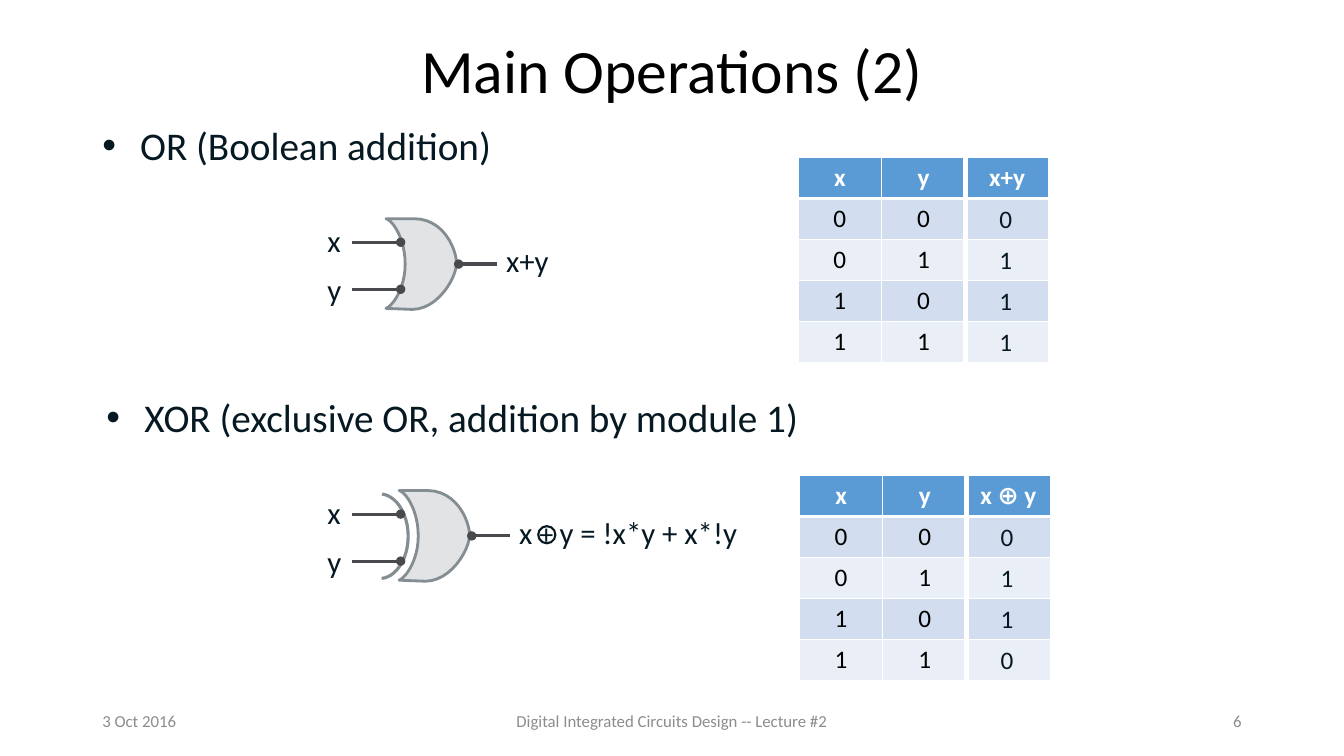
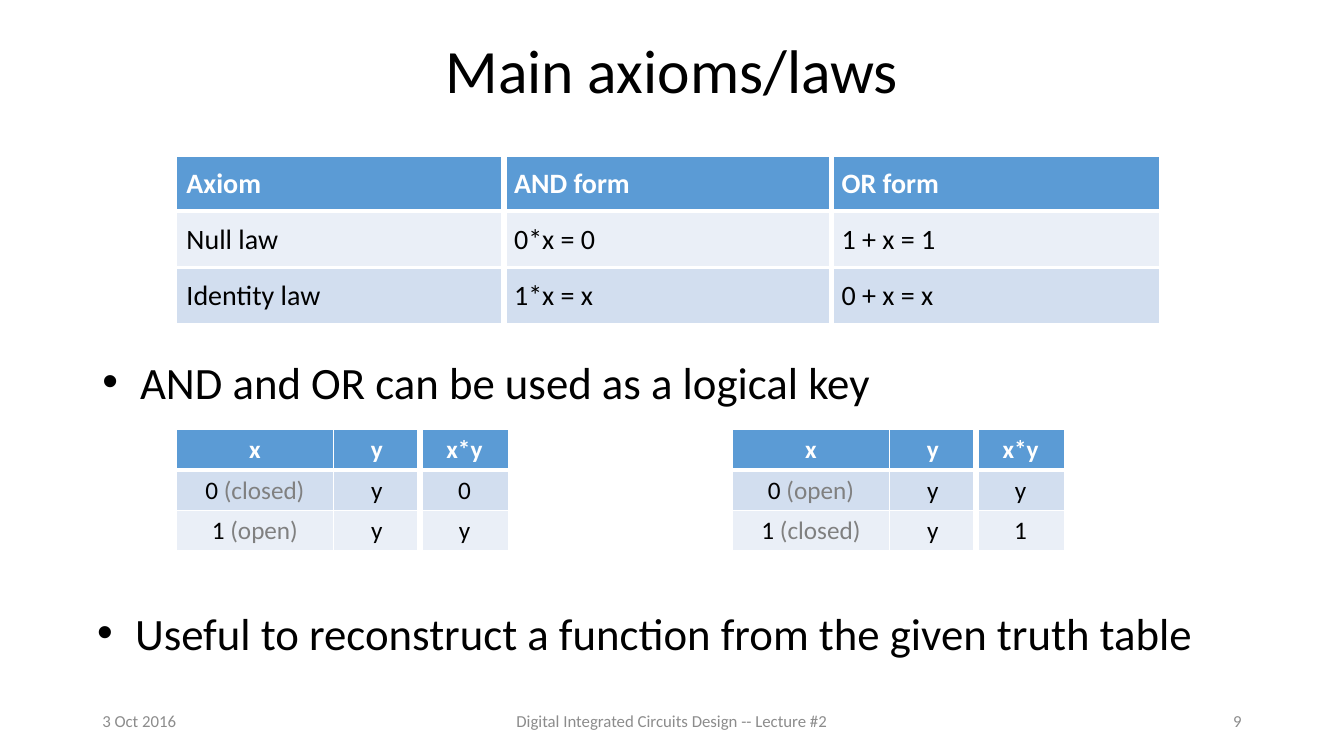
"""Build two slides on Boolean operations and axioms."""
from lxml.etree import SubElement as Sub
from pptx import Presentation
from pptx.dml.color import RGBColor
from pptx.enum.shapes import MSO_CONNECTOR as Link, MSO_SHAPE as Shape
from pptx.enum.text import MSO_ANCHOR as Anchor, PP_ALIGN as Align
from pptx.oxml.ns import qn
from pptx.util import Inches, Pt

FACE = "Calibri"
BLACK, WHITE, INK, GRAY, MUTE = "000000", "FFFFFF", "061922", "8C8C8C", "808080"
BLUE, DARK, PALE = "5B9BD5", "D2DEEF", "EAEFF7"
BODY, EDGE, WIRE = "E1E3E5", "838D92", "494A4D"
rgb = RGBColor.from_string

deck = Presentation()
deck.slide_width, deck.slide_height = Inches(40 / 3), Inches(7.5)
UNIT = deck.slide_width // 160


def text(slide, box, words, size, tint, align=Align.LEFT, anchor=Anchor.TOP, dot=False):
    """Add a text box, placed in grid units, and return its paragraph."""
    frame = slide.shapes.add_textbox(*[round(n * UNIT) for n in box]).text_frame
    frame.word_wrap, frame.vertical_anchor = True, anchor
    para = frame.paragraphs[0]
    para.text, para.alignment = words, align
    if dot:
        props = para._p.get_or_add_pPr()
        props.set("marL", "342900")
        props.set("indent", "-342900")
        Sub(props, qn("a:buFont"), typeface="Arial")
        Sub(props, qn("a:buChar"), char="•")
    font = para.font
    font.name, font.size, font.color.rgb = FACE, Pt(size), rgb(tint)
    return para


def grid(slide, x, y, widths, high, rows, fills, size=18, align=Align.CENTER, thick=(1,)):
    """Add a table whose columns listed in thick have a heavy right border."""
    box = [round(n * UNIT) for n in (x, y, sum(widths), high * len(rows))]
    table = slide.shapes.add_table(len(rows), len(widths), *box).table
    table.first_row = fills[0] == BLUE
    for col, wide in zip(table.columns, widths):
        col.width = round(wide * UNIT)
    for r, (row, fill) in enumerate(zip(rows, fills)):
        table.rows[r].height = round(high * UNIT)
        head = fill == BLUE
        for c, words in enumerate(row):
            cell = table.cell(r, c)
            cell.vertical_anchor = Anchor.MIDDLE
            props = cell._tc.get_or_add_tcPr()
            sides = {"L": 4.5 if c - 1 in thick else 1, "R": 4.5 if c in thick else 1,
                     "T": 1, "B": 3 if head else 1}
            for side, wide in sides.items():
                line = Sub(props, qn("a:ln" + side), w=str(Pt(wide)))
                Sub(Sub(line, qn("a:solidFill")), qn("a:srgbClr"), val=WHITE)
            cell.fill.solid()
            cell.fill.fore_color.rgb = rgb(fill)
            para = cell.text_frame.paragraphs[0]
            para.alignment = align
            font = para.font
            font.name, font.size, font.bold = FACE, Pt(size), head
            font.color.rgb = rgb(WHITE if head else BLACK)
            main, mark, note = words.partition("(")
            para.add_run().text = main
            if mark:
                run = para.add_run()
                run.text = mark + note
                run.font.color.rgb = rgb(MUTE)


slides = []
for title, page in (("Main Operations (2)", "6"), ("Main axioms/laws", "9")):
    slide = deck.slides.add_slide(deck.slide_layouts[6])
    slides.append(slide)
    para = text(slide, (11, 0, 138, 17.4), title, 44, BLACK, Align.CENTER, Anchor.MIDDLE)
    para.line_spacing = 0.9
    for x, wide, words, align in (
            (11, 36, "3 Oct 2016", Align.LEFT),
            (53, 54, "Digital Integrated Circuits Design -- Lecture #2", Align.CENTER),
            (113, 36, page, Align.RIGHT)):
        text(slide, (x, 83.4, wide, 4.8), words, 12, GRAY, align, Anchor.MIDDLE)
ops, laws = slides

text(ops, (11, 13.9, 138, 7.1), "OR (Boolean addition)", 28, INK, dot=True)
text(ops, (11.5, 46.2, 86.2, 9.6), "XOR (exclusive OR, addition by module 1)", 28, INK, dot=True)

TALL = 4.88
pairs = [(a, b, "") for a in "01" for b in "01"]
for x, y, sign, sums in ((95, 18.75, "x+y", "0111"), (95.15, 56.6, "x ⊕ y", "0110")):
    grid(ops, x, y, [9.96] * 3, TALL, [("x", "y", sign)] + pairs, [BLUE] + [DARK, PALE] * 2)
    for row, bit in enumerate(sums, 1):
        text(ops, (x + 22.8, y + row * TALL, 5.2, 4.8), bit, 18, INK)

curves = [
    ((0, 0), (0.84, 0.24), (2.28, 2.4), (2.28, 5.4)),
    ((2.28, 5.4), (2.28, 8.28), (0.84, 10.32), (0, 10.68)),
    ((3.12, 10.8), (6.12, 10.8), (8.28, 7.2), (8.4, 5.4)),
    ((8.4, 5.4), (8.4, 3.6), (6.84, 0), (3.36, 0)),
]
STEPS = 12
for x, y, xor in ((45.96, 26.04, False), (47.52, 58.4, True)):
    out = text(ops, (x + 13.1, y + 2.2, 29 if xor else 8, 5.6), "x " if xor else "x+y", 22, INK)
    if xor:
        for words, size in (("+ ", 20), ("y = !x*y + x*!y", 22)):
            run = out.add_run()
            run.text, run.font.size = words, Pt(size)
    dots = []
    for curve in curves:
        for step in range(STEPS + 1):
            t = step / STEPS
            parts = (1 - t) ** 3, 3 * t * (1 - t) ** 2, 3 * t * t * (1 - t), t ** 3
            across, down = (sum(k * n for k, n in zip(parts, axis)) for axis in zip(*curve))
            dots.append((round((x + across) * UNIT), round((y + down) * UNIT)))
    pen = ops.shapes.build_freeform(*dots[0])
    pen.add_line_segments(dots[1:], close=True)
    gate = pen.convert_to_shape()
    gate.fill.solid()
    gate.fill.fore_color.rgb = rgb(BODY)
    looks = [(gate, EDGE, 2)]
    if xor:
        for kind, box, tint, wide in (
                (Shape.ARC, (41.76, 58.8, 6.84, 10.08), EDGE, 2.25),
                (Shape.OVAL, (64.08, 62.64, 2.04, 2.04), INK, 1.5)):
            ring = ops.shapes.add_shape(kind, *[round(n * UNIT) for n in box])
            ring.fill.background()
            looks.append((ring, tint, wide))
            if kind == Shape.ARC:
                ring.adjustments[0], ring.adjustments[1] = 164.09, 52.21
    for form, tint, wide in looks:
        form.shadow.inherit = False
        form.line.color.rgb, form.line.width = rgb(tint), Pt(wide)
    for name, drop in (("x", -0.2), ("y", 5.6)):
        text(ops, (37.8, y + drop, 4.1, 5.6), name, 22, INK)
    for start, stop, drop in ((41.9, 47.7, 2.8), (41.9, 47.7, 8.4), (x + 13.2, x + 8.64, 5.4)):
        ends = [round(n * UNIT) for n in (start, y + drop, stop, y + drop)]
        wire = ops.shapes.add_connector(Link.STRAIGHT, *ends)
        wire.line.color.rgb, wire.line.width = rgb(WIRE), Pt(2.25)
        Sub(wire.line._get_or_add_ln(), qn("a:tailEnd"), type="oval")
        Sub(wire._element.spPr, qn("a:effectLst"))

axioms = (
    (BLUE, ("Axiom", "AND form", "OR form")),
    (PALE, ("Null law", "0*x = 0", "1 + x = 1")),
    (DARK, ("Identity law", "1*x = x", "0 + x = x")),
)
for place, (fill, row) in enumerate(axioms):
    grid(laws, 21, 18.6 + 6.7 * place, [39] * 3, 6.5, [row], [fill], 20, Align.LEFT, (0, 1))

text(laws, (11, 41.6, 138, 8.6), "AND and OR can be used as a logical key", 32, BLACK, dot=True)
text(laws, (10.4, 71.5, 138, 8.6),
     "Useful to reconstruct a function from the given truth table", 32, BLACK, dot=True)

keys = (
    (21, ("0 (closed)", "y", "0"), ("1 (open)", "y", "y")),
    (87.2, ("0 (open)", "y", "y"), ("1 (closed)", "y", "1")),
)
for x, *rows in keys:
    grid(laws, x, 51.15, [18.7, 10.3, 10.6], 4.8, [("x", "y", "x*y")] + rows, [BLUE, DARK, PALE])

deck.save("out.pptx")
